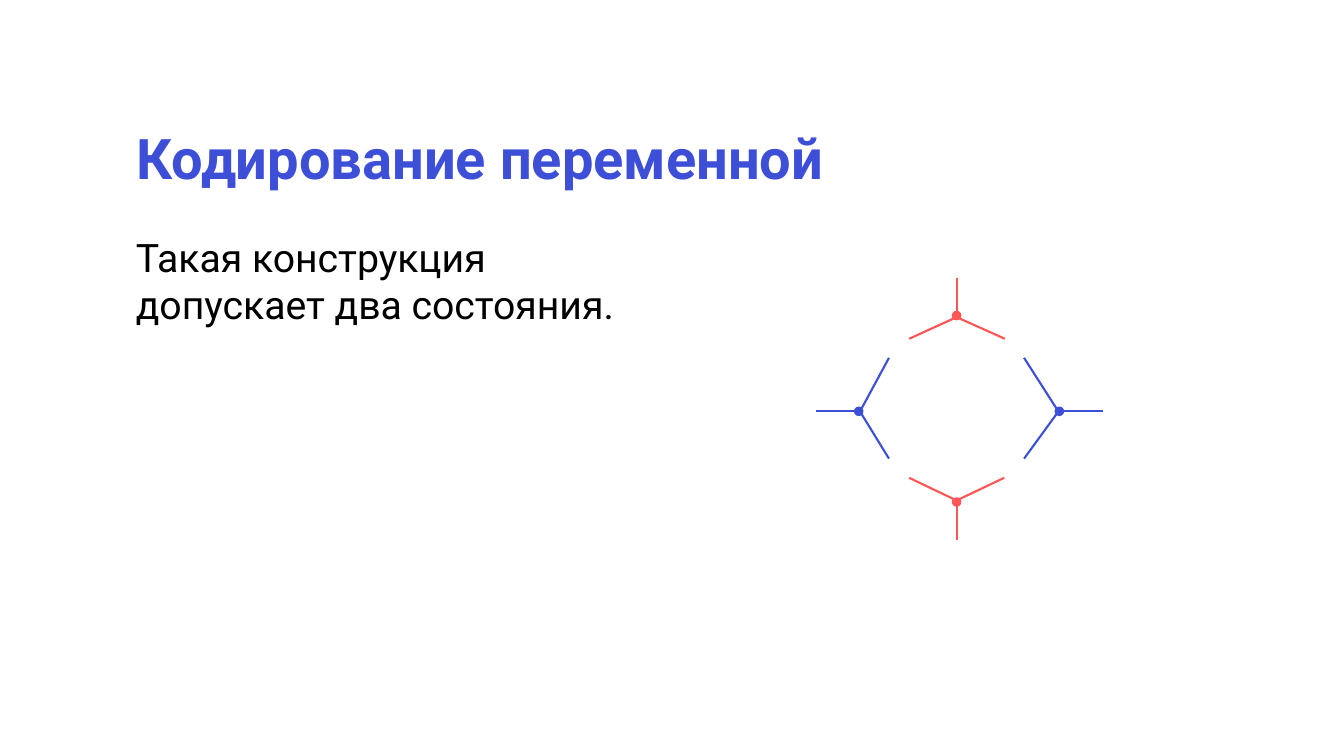
from lxml.etree import SubElement
from pptx import Presentation
from pptx.dml.color import RGBColor
from pptx.enum.shapes import MSO_CONNECTOR, MSO_SHAPE
from pptx.enum.text import MSO_ANCHOR, MSO_AUTO_SIZE, PP_ALIGN
from pptx.oxml.ns import qn
from pptx.util import Pt

BLUE, RED, BLACK = "3D4ED7", "FF5555", "000000"
DOT_RADIUS = 2.9
ARM_OFFSET = 2.1  # the arms leave the dot on its diagonals

# Each node: centre, outward direction, stem length, ends of both arms, colour
NODES = [
    ((683.3, 225.4), (0, -1), 24, [(649.4, 242), (717.8, 242)], RED),
    ((683.3, 358.6), (0, 1), 24.4, [(649.4, 341.3), (717.3, 341.3)], RED),
    ((613.4, 293.8), (-1, 0), 27.5, [(635, 255.6), (635, 327.6)], BLUE),
    ((756.7, 293.8), (1, 0), 28, [(731.5, 255.6), (731.5, 327.6)], BLUE),
]


def paint(color_format, color):
    color_format.rgb = RGBColor.from_string(color)


def write(box, place, text, size, color, bold=False, spacing=1.0):
    box.left, box.top, box.width, box.height = [Pt(length) for length in place]
    frame = box.text_frame
    frame.word_wrap = True
    frame.auto_size = MSO_AUTO_SIZE.NONE
    frame.vertical_anchor = MSO_ANCHOR.TOP
    paragraph = frame.paragraphs[0]
    paragraph.alignment = PP_ALIGN.LEFT
    paragraph.line_spacing = spacing
    run = paragraph.add_run()
    run.text = text
    run.font.name = "Roboto"
    run.font.size = Pt(size)
    run.font.bold = bold
    paint(run.font.color, color)


def add_line(shapes, start, end, color):
    line = shapes.add_connector(
        MSO_CONNECTOR.STRAIGHT, *[Pt(length) for length in (*start, *end)])
    line.line.width = Pt(1.5)
    paint(line.line.color, color)
    SubElement(line._element.spPr, qn("a:effectLst"))


def add_dot(shapes, center, color):
    x, y = center
    dot = shapes.add_shape(
        MSO_SHAPE.OVAL, Pt(x - DOT_RADIUS), Pt(y - DOT_RADIUS),
        Pt(2 * DOT_RADIUS), Pt(2 * DOT_RADIUS))
    dot.shadow.inherit = False
    dot.fill.solid()
    paint(dot.fill.fore_color, color)
    dot.line.width = Pt(1)
    paint(dot.line.color, color)


def add_node(shapes, center, outward, stem_length, arm_ends, color):
    x, y = center
    dx, dy = outward
    # Stem
    tip = DOT_RADIUS + stem_length
    add_line(shapes, (x + dx * DOT_RADIUS, y + dy * DOT_RADIUS),
             (x + dx * tip, y + dy * tip), color)
    # Arms, one on each side of the inward direction
    for side, arm_end in zip((-1, 1), arm_ends):
        arm_start = (x + ARM_OFFSET * (side * abs(dy) - dx),
                     y + ARM_OFFSET * (side * abs(dx) - dy))
        add_line(shapes, arm_start, arm_end, color)
    add_dot(shapes, center, color)


def main():
    deck = Presentation()
    deck.slide_width, deck.slide_height = Pt(960), Pt(540)
    slide = deck.slides.add_slide(deck.slide_layouts.get_by_name("Title Only"))

    # Title and statement
    write(slide.shapes.title, (90, 90, 781, 57.6), "Кодирование переменной",
          40, BLUE, bold=True, spacing=0.9)
    statement = slide.shapes.add_textbox(0, 0, 0, 0)
    write(statement, (90, 163.4, 390, 75),
          "Такая конструкция допускает два состояния.", 28, BLACK)

    # Ring of four nodes
    ring = slide.shapes.add_group_shape()
    for node in NODES:
        add_node(ring.shapes, *node)

    deck.save("out.pptx")


if __name__ == "__main__":
    main()
